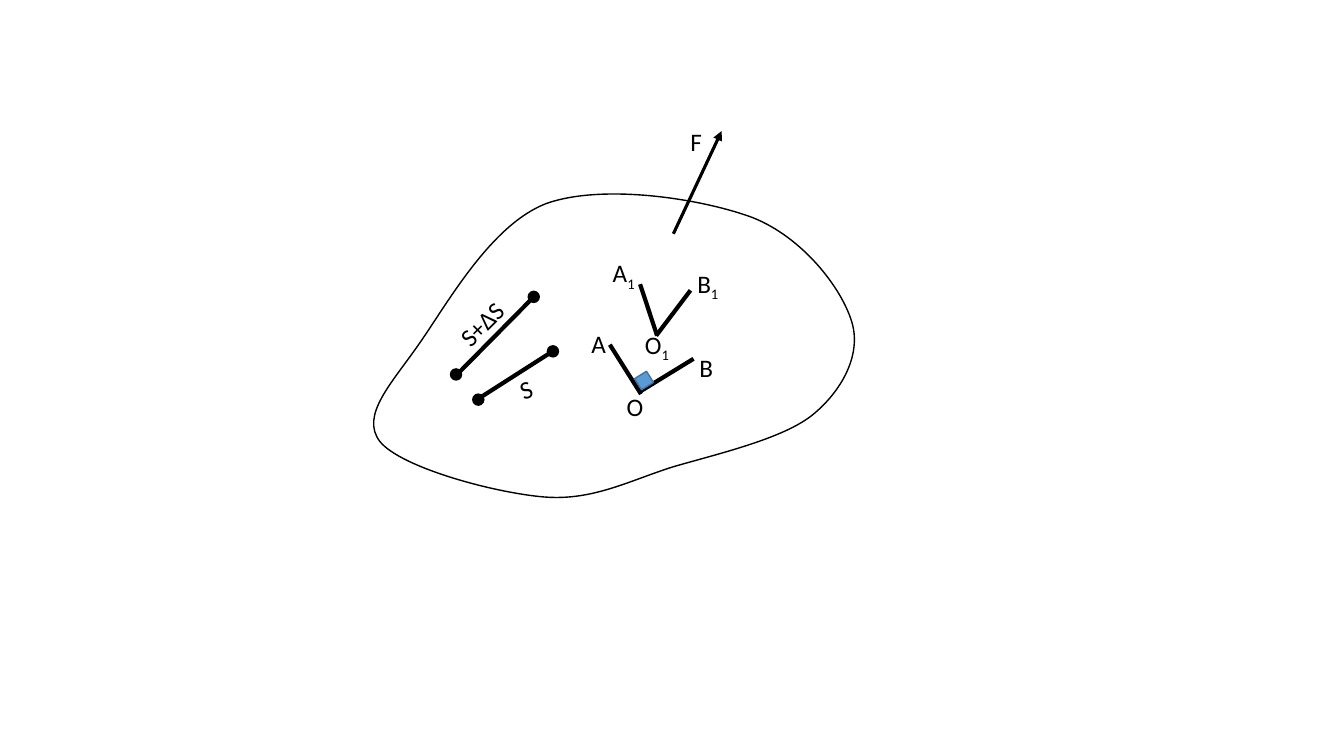
from lxml import etree
from pptx import Presentation
from pptx.dml.color import RGBColor
from pptx.enum import shapes, text
from pptx.oxml import ns
from pptx.util import Pt

BLACK = RGBColor(0x00, 0x00, 0x00)
WHITE = RGBColor(0xFF, 0xFF, 0xFF)
BLUE = RGBColor(0x5B, 0x9B, 0xD5)
DARK_BLUE = RGBColor(0x43, 0x73, 0x9E)
DOT_SIZE = 7.9

presentation = Presentation()
presentation.slide_width, presentation.slide_height = Pt(960), Pt(540)
slide = presentation.slides.add_slide(presentation.slide_layouts[6])


def paint(shape, fill, line):
    shape.shadow.inherit = False
    shape.fill.solid()
    shape.fill.fore_color.rgb = fill
    shape.line.color.rgb = line
    shape.line.width = Pt(1)


def add_line(start, end, width=3):
    connector = slide.shapes.add_connector(
        shapes.MSO_CONNECTOR.STRAIGHT, *(Pt(value) for value in (*start, *end)))
    connector.line.color.rgb = BLACK
    connector.line.width = Pt(width)
    etree.SubElement(connector._element.spPr, ns.qn("a:effectLst"))
    return connector


# Body outline: a freeform with its frame, then cubic curves as its path
left, top, right, bottom = 267.1, 138.2, 610.5, 354.9
outline_start = (299.5, 245.5)
outline_curves = [
    ((319.7, 216.7), (350.6, 160.6), (390.2, 145.4)),
    ((430.6, 131), (501.1, 141.8), (537.8, 155.5)),
    ((573.8, 169.9), (601.2, 205.9), (608.4, 229.7)),
    ((615.6, 252.7), (601.9, 278.6), (581, 295.9)),
    ((560.2, 313.2), (513.4, 324), (481, 333.4)),
    ((449.3, 343.4), (423.4, 357.8), (388.8, 355)),
    ((353.5, 352.1), (286.6, 334.1), (271.4, 315.4)),
    ((257, 296.6), (280.1, 273.6), outline_start),
]
builder = slide.shapes.build_freeform(Pt(left), Pt(top))
builder.add_line_segments([(Pt(right), Pt(bottom))], close=True)
outline = builder.convert_to_shape()
paint(outline, WHITE, BLACK)
curve_path = outline._element.spPr.find(".//" + ns.qn("a:path"))
for command in list(curve_path):
    curve_path.remove(command)
commands = [("a:moveTo", [outline_start])]
commands += [("a:cubicBezTo", curve) for curve in outline_curves]
for tag, points in commands + [("a:close", [])]:
    command = etree.SubElement(curve_path, ns.qn(tag))
    for x, y in points:
        etree.SubElement(command, ns.qn("a:pt"),
                         x=str(int(Pt(x - left))), y=str(int(Pt(y - top))))

# Segments S+ΔS and S, then the dots at their ends
add_line((325.4, 268.6), (381.6, 211.7))
add_line((341.3, 285.1), (393.1, 252))
for x, y in ((391, 247), (337.7, 281.5), (321.8, 263.5), (377.3, 208.1)):
    dot = slide.shapes.add_shape(
        shapes.MSO_SHAPE.OVAL, Pt(x), Pt(y), Pt(DOT_SIZE), Pt(DOT_SIZE))
    paint(dot, BLACK, BLACK)

# Right angle AOB with its marker, and the deformed angle A1O1B1
add_line((457.9, 281.5), (435.6, 246.2))
add_line((456.5, 280.1), (495.4, 256.3))
marker = slide.shapes.add_shape(
    shapes.MSO_SHAPE.RECTANGLE, Pt(455), Pt(267.1), Pt(10.1), Pt(9.4))
marker.rotation = 328
paint(marker, BLUE, DARK_BLUE)
add_line((469.4, 239.8), (457.2, 203))
add_line((468.7, 239.8), (493.2, 207.4))

# Labels: text, subscript, left, top, width, rotation
labels = [
    ("S", "", 364.3, 263.5, 23, 339.4),
    ("S+ΔS", "", 319, 216.7, 50.4, 315.2),
    ("A", "", 415.4, 231.1, 25.2, 0),
    ("O", "", 440.6, 275.6, 26.6, 0),
    ("B", "", 492.5, 248.4, 24.5, 0),
    ("A", "1", 430.6, 180.5, 31, 0),
    ("O", "1", 453.6, 231.8, 32.4, 0),
    ("B", "1", 491, 187.9, 30.2, 0),
    ("F", "", 486, 86.9, 23, 0),
]
label_font = {"name": "Calibri", "size": Pt(18)}
for name, subscript, x, y, width, rotation in labels:
    # Force arrow, behind its label
    if name == "F":
        force = add_line((481, 167), (515.5, 93.6), 2.25)
        etree.SubElement(force.line._get_or_add_ln(), ns.qn("a:tailEnd"), type="triangle")
    label = slide.shapes.add_textbox(Pt(x), Pt(y), Pt(width), Pt(29))
    label.rotation = rotation
    frame = label.text_frame
    frame.word_wrap = False
    frame.auto_size = text.MSO_AUTO_SIZE.SHAPE_TO_FIT_TEXT
    for content, baseline in ((name, None), (subscript, "-25000")):
        if not content:
            continue
        run = frame.paragraphs[0].add_run()
        run.text = content
        for attribute, value in label_font.items():
            setattr(run.font, attribute, value)
        run.font.color.rgb = BLACK
        if baseline:
            run.font._element.set("baseline", baseline)

presentation.save("out.pptx")
